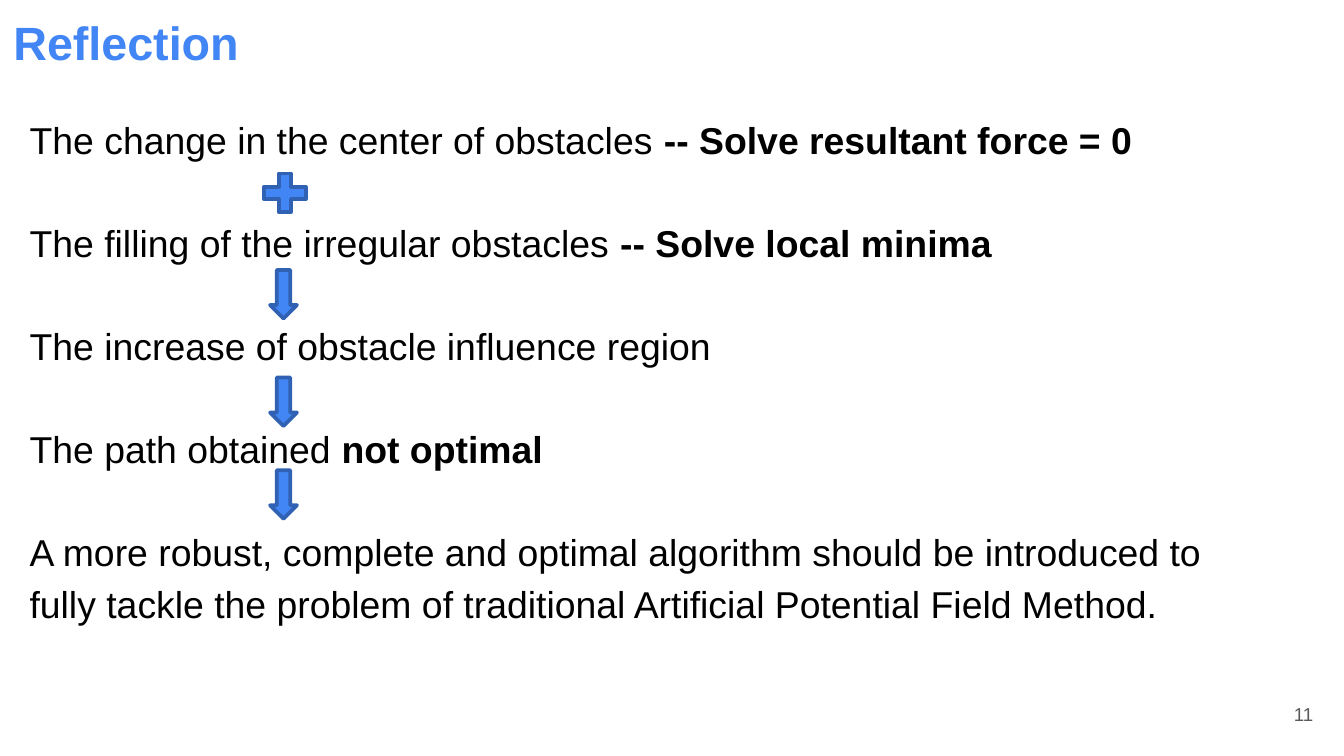
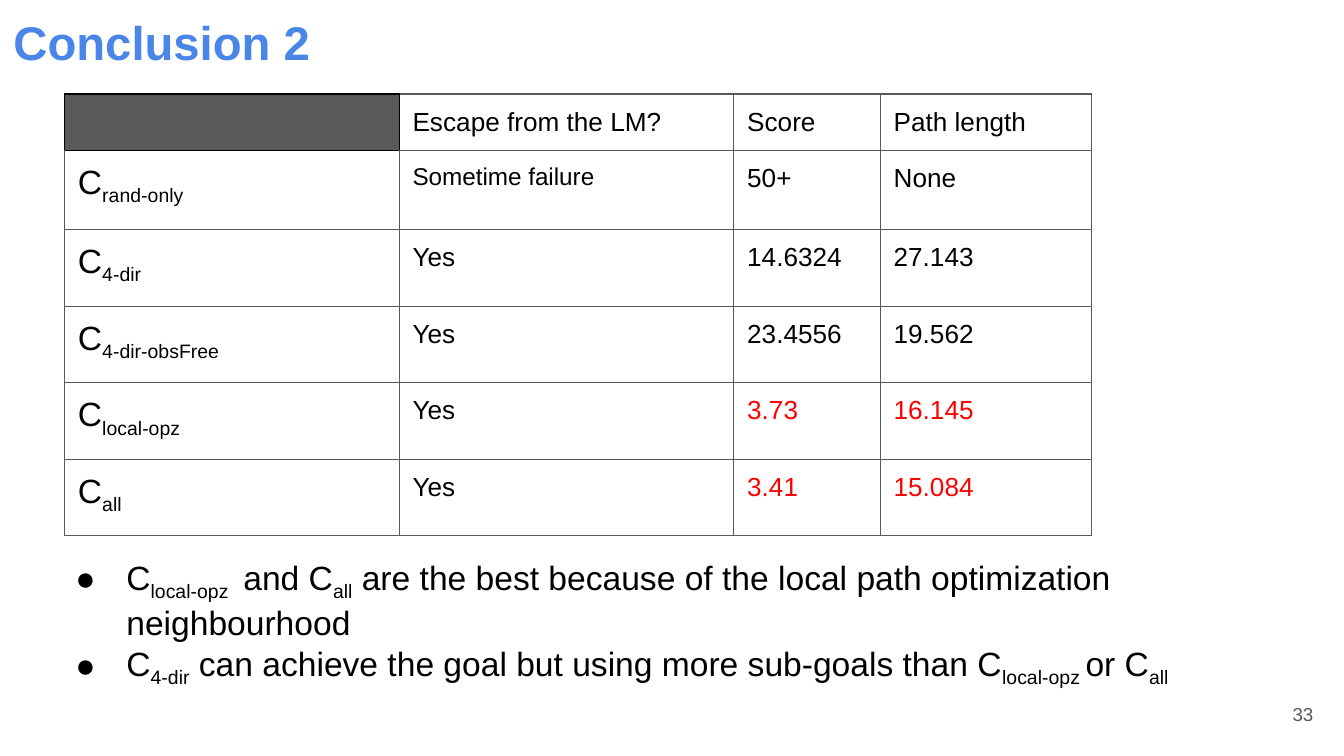
import pptx
import pptx.util
import pptx.dml.color
import pptx.enum.shapes
import pptx.enum.text
import pptx.oxml.ns
import lxml.etree

PX = 9144  # 100 px to the inch
FONT = "Arial"
BLACK, GREY, RED, BLUE, DARK_BLUE = "000000", "595959", "FF0000", "4285F4", "3061B2"
MARGIN = 10

qn = pptx.oxml.ns.qn
Pt = pptx.util.Pt
rgb = pptx.dml.color.RGBColor.from_string


def write(paragraph, text, size, color=BLACK, bold=None, mark="bold"):
    """Fill a paragraph; every second part between bars is bold or subscript."""
    for i, part in enumerate(text.split("|")):
        if not part:
            continue
        run = paragraph.add_run()
        run.text = part
        if i % 2 and mark == "bold":
            run.font.bold = True
        elif i % 2:
            run.font._element.set("baseline", "-25000")
    paragraph.font.name = FONT
    paragraph.font.size = Pt(size)
    paragraph.font.color.rgb = rgb(color)
    paragraph.font.bold = bold


def place(shape, left, top, width, height, anchor=pptx.enum.text.MSO_ANCHOR.TOP):
    """Put a text shape in place with the common margins and return its frame."""
    shape.left, shape.top = left * PX, top * PX
    shape.width, shape.height = width * PX, height * PX
    frame = shape.text_frame
    frame.word_wrap = True
    frame.auto_size = pptx.enum.text.MSO_AUTO_SIZE.NONE
    frame.vertical_anchor = anchor
    frame.margin_left = frame.margin_right = MARGIN * PX
    frame.margin_top = frame.margin_bottom = MARGIN * PX
    return frame


# A 16:9 page
prs = pptx.Presentation()
prs.slide_width = 1000 * PX
prs.slide_height = prs.slide_width * 9 // 16

# Titles and page numbers
slides = []
for heading, size, color, width, number in [
    ("Reflection", 25, BLUE, 452, "11"),
    ("Conclusion 2", 25.3, "4A86E8", 932, "33"),
]:
    slide = prs.slides.add_slide(prs.slide_layouts[1])
    title = place(slide.shapes.title, 0, 0, width, 63).paragraphs[0]
    title.alignment = pptx.enum.text.PP_ALIGN.LEFT
    write(title, heading, size, color, bold=True)
    page = place(slide.shapes.add_textbox(0, 0, 0, 0), 927, 510, 60, 43,
                 pptx.enum.text.MSO_ANCHOR.MIDDLE).paragraphs[0]
    page.alignment = pptx.enum.text.PP_ALIGN.RIGHT
    write(page, number, 10, GREY)
    slides.append(slide)
reflection, conclusion = slides

# Reflection: chain of findings
findings = [
    "The change in the center of obstacles |-- Solve resultant force = 0",
    "The filling of the irregular obstacles |-- Solve local minima",
    "The increase of obstacle influence region",
    "The path obtained |not optimal",
    "A more robust, complete and optimal algorithm should be introduced to "
    "fully tackle the problem of traditional Artificial Potential Field Method.",
]
chain = place(reflection.placeholders[1], 0, 72, 950, 406)
for i, finding in enumerate(findings):
    paragraph = chain.add_paragraph() if i else chain.paragraphs[0]
    paragraph.line_spacing = 1.15
    paragraph.space_before = Pt(27.6 if i else 0)
    props = paragraph._p.get_or_add_pPr()
    props.set("marL", str(12 * PX))
    props.set("indent", "0")
    lxml.etree.SubElement(props, qn("a:buNone"))
    write(paragraph, finding, 20)

# Reflection: plus sign and arrows between the findings
PLUS = pptx.enum.shapes.MSO_SHAPE.MATH_PLUS
DOWN = pptx.enum.shapes.MSO_SHAPE.DOWN_ARROW
for kind, left, top, width, height in [
    (PLUS, 191, 124, 42, 39),
    (DOWN, 201, 201, 20, 36),
    (DOWN, 201, 281, 20, 36),
    (DOWN, 201, 350, 20, 36),
]:
    link = reflection.shapes.add_shape(kind, left * PX, top * PX, width * PX, height * PX)
    link.shadow.inherit = False
    link.fill.solid()
    link.fill.fore_color.rgb = rgb(BLUE)
    link.line.color.rgb = rgb(DARK_BLUE)
    link.line.width = Pt(2)
    lxml.etree.SubElement(link.get_or_add_ln(), qn("a:round"))

# Conclusion: results table
results = [
    ["", "Escape from the LM?", "Score", "Path length"],
    ["C|rand-only", "Sometime failure", "50+", "None"],
    ["C|4-dir", "Yes", "14.6324", "27.143"],
    ["C|4-dir-obsFree", "Yes", "23.4556", "19.562"],
    ["C|local-opz", "Yes", "3.73", "16.145"],
    ["C|all", "Yes", "3.41", "15.084"],
]
col_widths = [249, 249, 109, 157]
row_heights = [39, 59, 57, 57, 57, 57]
table = conclusion.shapes.add_table(
    len(results), len(col_widths), 48 * PX, 70 * PX,
    sum(col_widths) * PX, sum(row_heights) * PX).table
table.first_row = table.horz_banding = False
for column, width in zip(table.columns, col_widths):
    column.width = width * PX
for r, (row, height) in enumerate(zip(results, row_heights)):
    table.rows[r].height = height * PX
    for c, text in enumerate(row):
        cell = table.cell(r, c)
        # The black frame of the corner cell is shared with its neighbours
        black_sides = {(0, 0): "LRTB", (0, 1): "L", (1, 0): "T"}.get((r, c), "")
        for side in "LRTB":
            border = lxml.etree.SubElement(
                cell._tc.get_or_add_tcPr(), qn("a:ln" + side), w=str(Pt(0.75)))
            fill = lxml.etree.SubElement(border, qn("a:solidFill"))
            lxml.etree.SubElement(fill, qn("a:srgbClr"),
                                  val=BLACK if side in black_sides else GREY)
        if not text:
            cell.fill.solid()
            cell.fill.fore_color.rgb = rgb(GREY)
            continue
        cell.fill.background()
        cell.margin_left = cell.margin_right = MARGIN * PX
        cell.margin_top = cell.margin_bottom = MARGIN * PX
        size = 18 if c == 0 else 13 if text == "Sometime failure" else 14
        best = r >= 4 and c >= 2
        write(cell.text_frame.paragraphs[0], text, size, RED if best else BLACK, mark="sub")

# Conclusion: remarks under the table
remarks = [
    "C|local-opz | and C|all| are the best because of the local path optimization neighbourhood",
    "C|4-dir| can achieve the goal but using more sub-goals than C|local-opz |or C|all",
]
remark_list = place(conclusion.placeholders[1], 34, 404, 966, 158)
for i, remark in enumerate(remarks):
    paragraph = remark_list.add_paragraph() if i else remark_list.paragraphs[0]
    paragraph.space_before = Pt(0)
    props = paragraph._p.get_or_add_pPr()
    props.set("marL", str(50 * PX))
    props.set("indent", str(-38 * PX))
    bullet_color = lxml.etree.SubElement(props, qn("a:buClr"))
    lxml.etree.SubElement(bullet_color, qn("a:srgbClr"), val=BLACK)
    lxml.etree.SubElement(props, qn("a:buFont"), typeface=FONT)
    lxml.etree.SubElement(props, qn("a:buChar"), char="●")
    write(paragraph, remark, 18, mark="sub")

prs.save("out.pptx")
